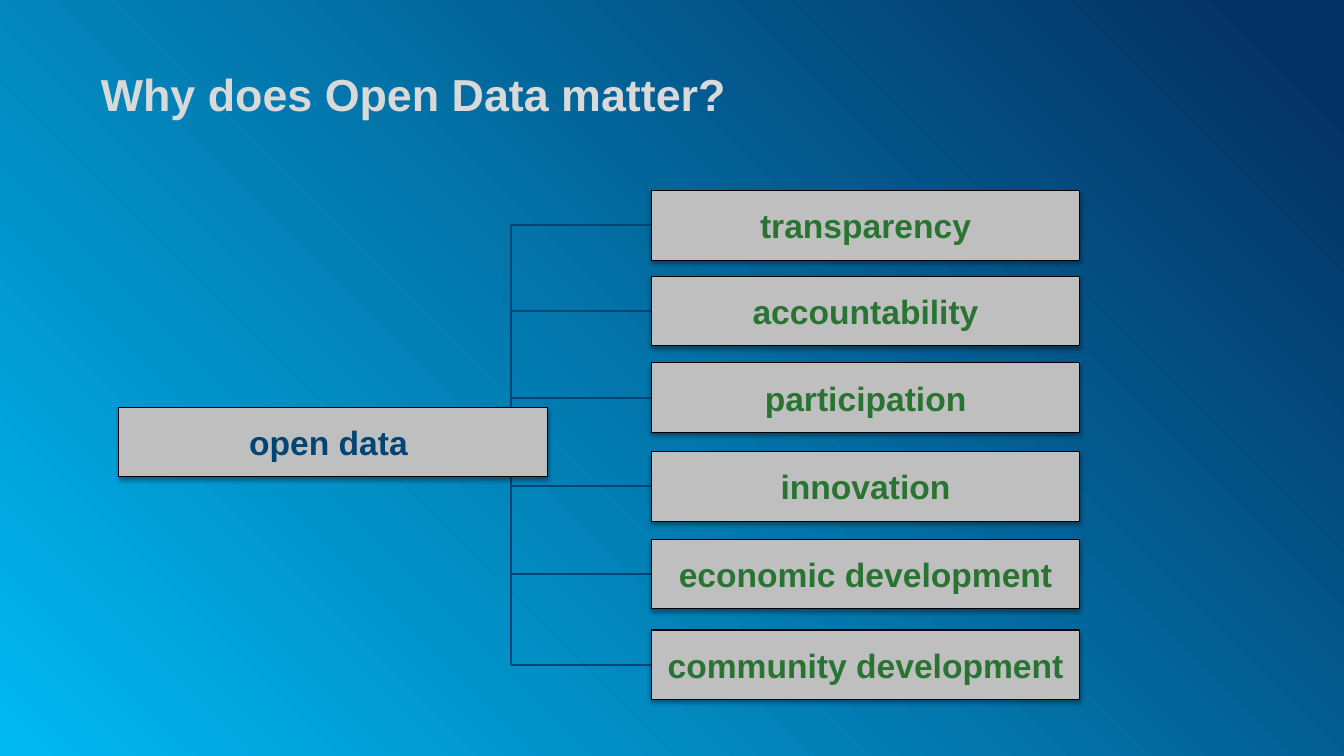
from pptx import Presentation
from pptx.dml.color import RGBColor
from pptx.enum.shapes import MSO_CONNECTOR, MSO_SHAPE
from pptx.enum.text import MSO_ANCHOR, MSO_AUTO_SIZE, PP_ALIGN
from pptx.oxml import parse_xml
from pptx.oxml.ns import nsdecls, qn
from pptx.util import Inches, Pt

RECTANGLE = MSO_SHAPE.RECTANGLE
STRAIGHT = MSO_CONNECTOR.STRAIGHT
MIDDLE = MSO_ANCHOR.MIDDLE
GROW = MSO_AUTO_SIZE.SHAPE_TO_FIT_TEXT
LEFT, CENTER = PP_ALIGN.LEFT, PP_ALIGN.CENTER

TITLE_GREY = RGBColor(0xD9, 0xD9, 0xD9)
BOX_GREY = RGBColor(0xBF, 0xBF, 0xBF)
BLACK = RGBColor(0x00, 0x00, 0x00)
GREEN = RGBColor(0x2A, 0x74, 0x33)
NAVY = RGBColor(0x00, 0x45, 0x75)
BRIGHT_BLUE = RGBColor(0x00, 0xB9, 0xF2)
DEEP_BLUE = RGBColor(0x05, 0x32, 0x64)

FONT = "Arial"
SLIDE_WIDTH, SLIDE_HEIGHT = 13.33, 7.5
BOX_WIDTH, BOX_HEIGHT = 4.25, 0.69
SPINE_X = 5.07
BENEFITS_X = 6.46
SOURCE_X, SOURCE_Y = 1.18, 4.04
BENEFITS = [
    ("transparency", 1.89),
    ("accountability", 2.74),
    ("participation", 3.6),
    ("innovation", 4.48),
    ("economic development", 5.35),
    ("community development", 6.25),
]


def style_text(paragraph, size, color, alignment):
    """Format every run of a paragraph in bold."""
    paragraph.alignment = alignment
    for run in paragraph.runs:
        run.font.name = FONT
        run.font.size = Pt(size)
        run.font.bold = True
        run.font.color.rgb = color


def paint_background(slide):
    """Fill the slide with a gradient that spreads from the lower left corner."""
    slide.background.fill.gradient()
    gradient = slide.element.find(".//" + qn("a:gradFill"))
    gradient.getparent().replace(gradient, parse_xml(
        f'<a:gradFill {nsdecls("a")} rotWithShape="1"><a:gsLst>'
        f'<a:gs pos="0"><a:srgbClr val="{BRIGHT_BLUE}"/></a:gs>'
        f'<a:gs pos="95000"><a:srgbClr val="{DEEP_BLUE}"/></a:gs></a:gsLst>'
        '<a:path path="circle"><a:fillToRect t="100000" r="100000"/></a:path>'
        '</a:gradFill>'))


def add_title(slide, text, left, top, width, height):
    """Place the title placeholder in the given box."""
    title = slide.shapes.title
    title.left, title.top = Inches(left), Inches(top)
    title.width, title.height = Inches(width), Inches(height)
    frame = title.text_frame
    frame.text = text
    frame.margin_left = frame.margin_right = 0
    frame.margin_top = frame.margin_bottom = 0
    frame.auto_size = GROW
    style_text(frame.paragraphs[0], 32, TITLE_GREY, LEFT)


def add_box(slide, text, left, top, color):
    """Add a grey labelled box with a soft shadow below it."""
    box = slide.shapes.add_shape(RECTANGLE, Inches(left), Inches(top),
                                 Inches(BOX_WIDTH), Inches(BOX_HEIGHT))
    box.fill.solid()
    box.fill.fore_color.rgb = BOX_GREY
    box.line.color.rgb = BLACK
    box.line.width = Pt(0.75)
    box.shadow.inherit = False
    box.element.spPr.find(qn("a:effectLst")).append(parse_xml(
        f'<a:outerShdw {nsdecls("a")} blurRad="{Pt(3.1)}" dist="{Pt(1.8)}" '
        'dir="5400000" rotWithShape="0"><a:srgbClr val="000000">'
        '<a:alpha val="35000"/></a:srgbClr></a:outerShdw>'))
    frame = box.text_frame
    frame.text = text
    frame.word_wrap = False
    frame.vertical_anchor = MIDDLE
    style_text(frame.paragraphs[0], 24, color, CENTER)


def add_line(slide, start_x, start_y, end_x, end_y):
    """Draw a plain navy line."""
    line = slide.shapes.add_connector(STRAIGHT, Inches(start_x), Inches(start_y),
                                      Inches(end_x), Inches(end_y))
    line.line.color.rgb = NAVY
    line.line.width = Pt(1.5)
    line.element.spPr.append(parse_xml(f'<a:effectLst {nsdecls("a")}/>'))


def add_tree(slide, source, benefits):
    """Join the source box to its column of benefits by a spine and branches."""
    centers = [top + BOX_HEIGHT / 2 for _, top in benefits]
    add_line(slide, SPINE_X, centers[0], SPINE_X, centers[-1])
    for (label, top), center in zip(benefits, centers):
        add_line(slide, SPINE_X, center, BENEFITS_X, center)
        add_box(slide, label, BENEFITS_X, top, GREEN)
    add_box(slide, source, SOURCE_X, SOURCE_Y, NAVY)


def main():
    """Build the slide and save it."""
    presentation = Presentation()
    presentation.slide_width = Inches(SLIDE_WIDTH)
    presentation.slide_height = Inches(SLIDE_HEIGHT)
    slide = presentation.slides.add_slide(presentation.slide_layouts[5])
    paint_background(slide)
    add_title(slide, "Why does Open Data matter?", 1, 0.66, 11.33, 0.54)
    add_tree(slide, "open data ", BENEFITS)
    presentation.save("out.pptx")


if __name__ == "__main__":
    main()
